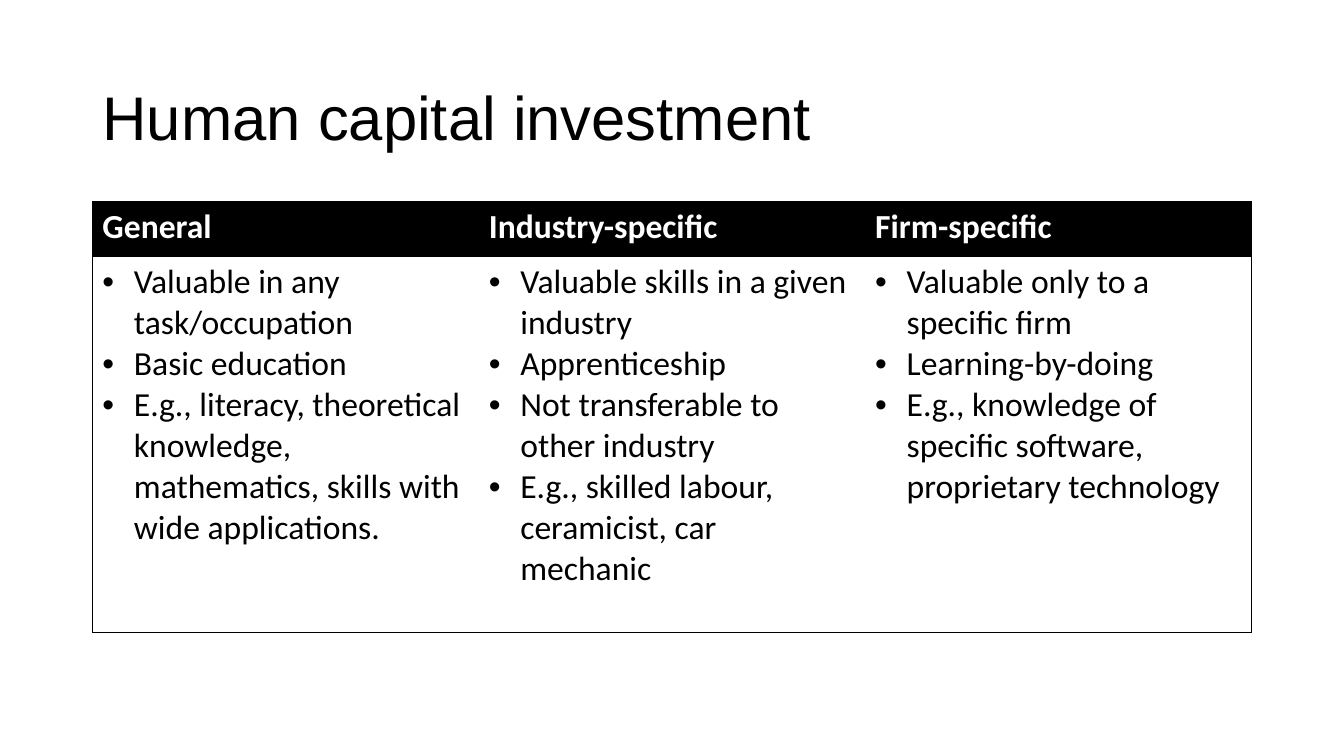
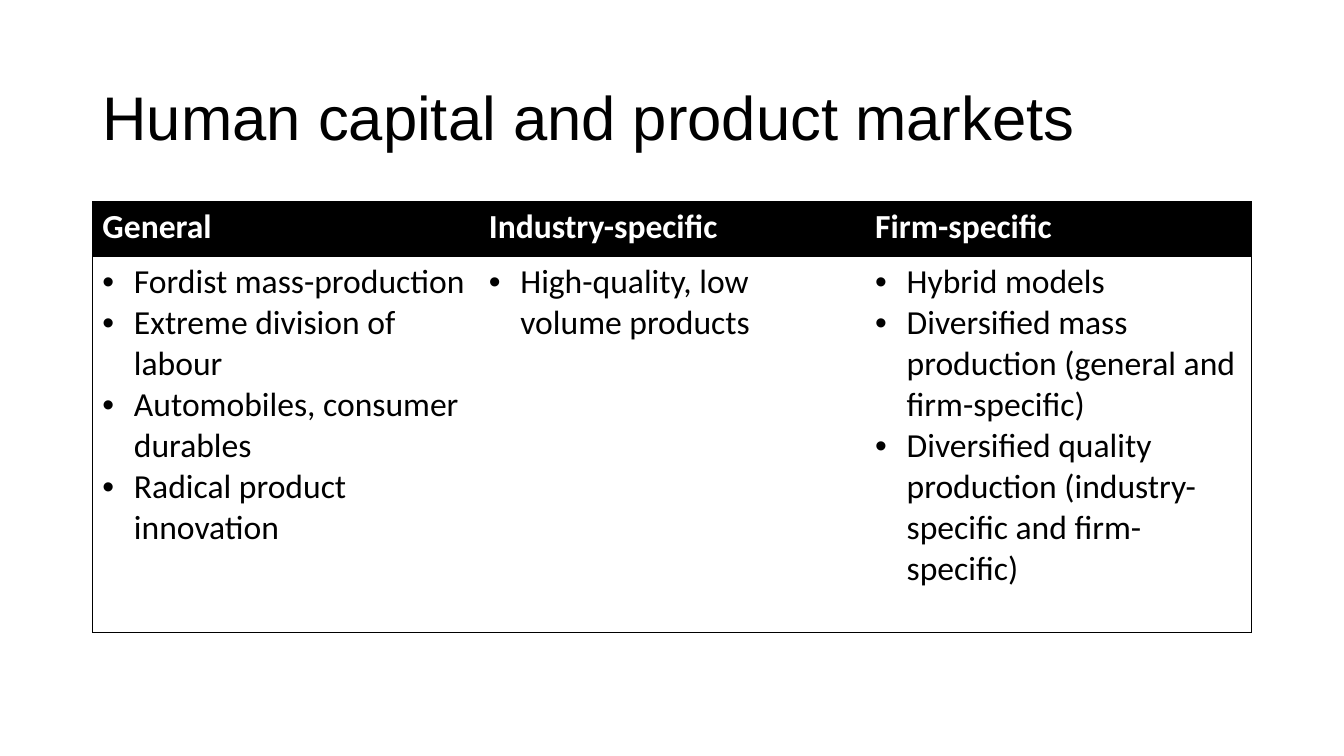
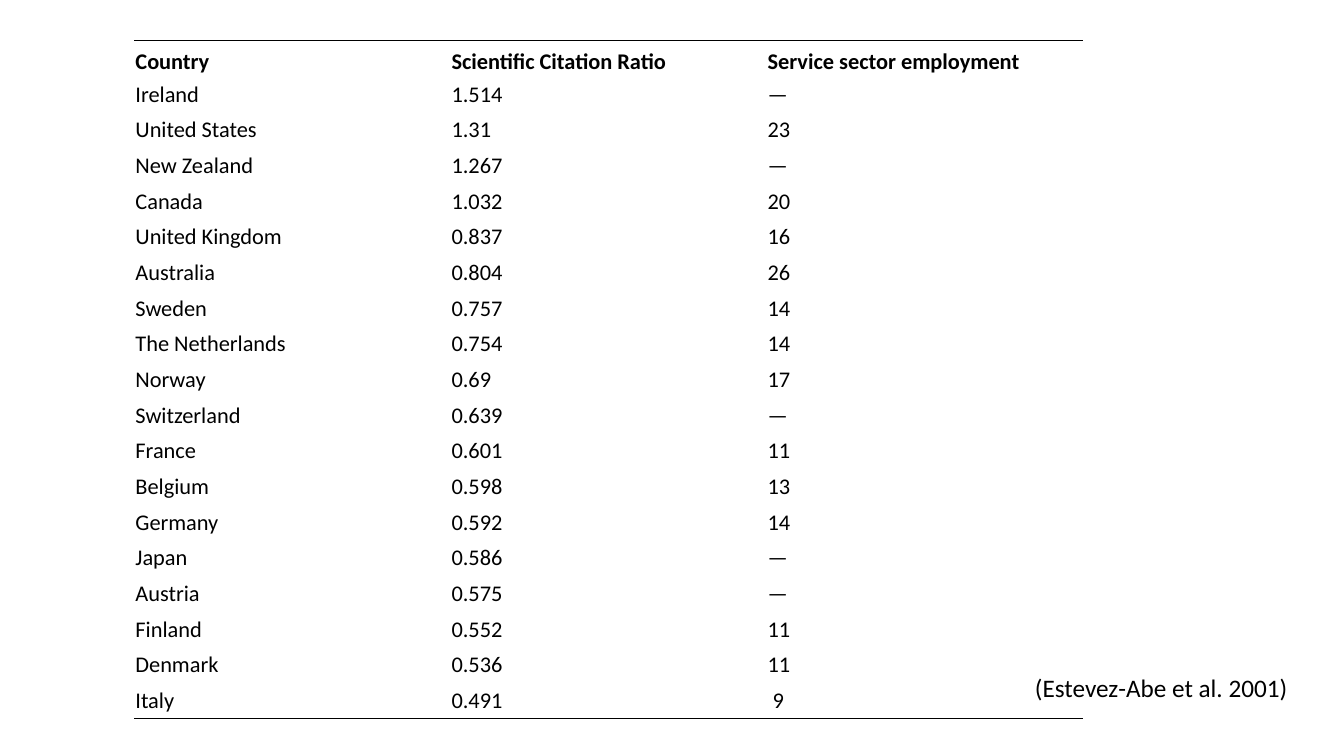
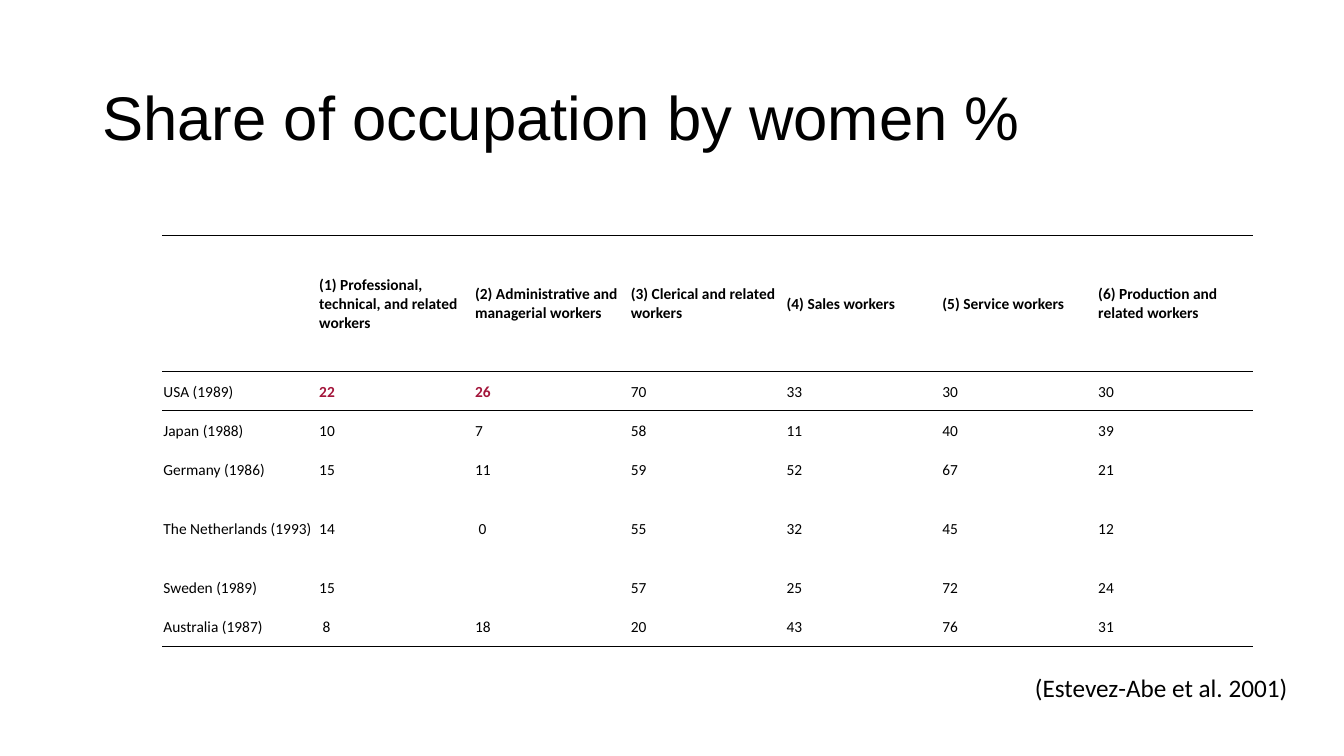
from lxml.etree import SubElement
from pptx import Presentation
from pptx.dml.color import RGBColor
from pptx.enum.text import MSO_ANCHOR as Anchor
from pptx.enum.text import MSO_AUTO_SIZE as AutoSize
from pptx.enum.text import PP_ALIGN as Align
from pptx.oxml.ns import qn
from pptx.util import Pt

BLACK = RGBColor(0x00, 0x00, 0x00)
WHITE = RGBColor(0xFF, 0xFF, 0xFF)
CRIMSON = RGBColor(0xA4, 0x16, 0x3B)
TITLE_FONT = "Arial"
BODY_FONT = "Calibri"
TITLE_ONLY, BLANK = 5, 6

TITLE_BOX = (66, 34, 828, 104.4)
SKILLS_BOX = (66, 144, 828, 307.4)
CITATION_BOX = (96, 28.8, 677.4, 484.5)
OCCUPATION_BOX = (116, 168, 779.1, 293.75)
SOURCE_BOX = (732.2, 476.6, 196.6, 28.8)
SOURCE = "(Estevez-Abe et al. 2001)"

SKILL_TYPES = ["General", "Industry-specific", "Firm-specific"]
INVESTMENT = [
    ["Valuable in any task/occupation",
     "Basic education",
     "E.g., literacy, theoretical knowledge, mathematics, skills with wide applications."],
    ["Valuable skills in a given industry",
     "Apprenticeship",
     "Not transferable to other industry",
     "E.g., skilled labour, ceramicist, car mechanic"],
    ["Valuable only to a specific firm",
     "Learning-by-doing",
     "E.g., knowledge of specific software, proprietary technology"],
]
PRODUCT_MARKETS = [
    ["Fordist mass-production",
     "Extreme division of labour",
     "Automobiles, consumer durables",
     "Radical product innovation"],
    ["High-quality, low volume products"],
    ["Hybrid models",
     "Diversified mass production (general and firm-specific)",
     "Diversified quality production (industry-specific and firm-specific)"],
]
CITATIONS = [
    ("Country", "Scientific Citation Ratio", "Service sector employment"),
    ("Ireland", "1.514", "—"),
    ("United States", "1.31", "23"),
    ("New Zealand", "1.267", "—"),
    ("Canada", "1.032", "20"),
    ("United Kingdom", "0.837", "16"),
    ("Australia", "0.804", "26"),
    ("Sweden", "0.757", "14"),
    ("The Netherlands", "0.754", "14"),
    ("Norway", "0.69", "17"),
    ("Switzerland", "0.639", "—"),
    ("France", "0.601", "11"),
    ("Belgium", "0.598", "13"),
    ("Germany", "0.592", "14"),
    ("Japan", "0.586", "—"),
    ("Austria", "0.575", "—"),
    ("Finland", "0.552", "11"),
    ("Denmark", "0.536", "11"),
    ("Italy", "0.491", " 9"),
]
OCCUPATIONS = [
    ("", "(1) Professional, technical, and related workers",
     "(2) Administrative and managerial workers", "(3) Clerical and related workers",
     "(4) Sales workers", "(5) Service workers", "(6) Production and related workers"),
    ("USA (1989)", "22", "26", "70", "33", "30", "30"),
    ("Japan (1988)", "10", "7", "58", "11", "40", "39"),
    ("Germany (1986)", "15", "11", "59", "52", "67", "21"),
    ("The Netherlands (1993)", "14", " 0", "55", "32", "45", "12"),
    ("Sweden (1989)", "15", "", "57", "25", "72", "24"),
    ("Australia (1987)", " 8", "18", "20", "43", "76", "31"),
]


def write_text(frame, lines, size=18, font=BODY_FONT, color=BLACK, bold=False,
               bulleted=False, spacing=None):
    """Write one paragraph per line into a text frame."""
    for number, line in enumerate(lines):
        paragraph = frame.add_paragraph() if number else frame.paragraphs[0]
        paragraph.alignment = Align.LEFT
        if spacing:
            paragraph.line_spacing = spacing
        if bulleted:
            add_bullet(paragraph)
        if line:
            run = paragraph.add_run()
            run.text = line
            run.font.size = Pt(size)
            run.font.name = font
            run.font.bold = bold
            run.font.color.rgb = color


def add_bullet(paragraph, indent=22.5):
    """Give a paragraph a round bullet with a hanging indent."""
    properties = paragraph._p.get_or_add_pPr()
    properties.set("marL", str(Pt(indent)))
    properties.set("indent", str(-Pt(indent)))
    SubElement(properties, qn("a:buFont")).set("typeface", "Arial")
    SubElement(properties, qn("a:buChar")).set("char", "•")


def set_borders(cell, sides, width):
    """Rule the given sides of a cell in black and clear the others."""
    properties = cell._tc.get_or_add_tcPr()
    for position, side in enumerate("LRTB"):
        rule = SubElement(properties, qn(f"a:ln{side}"))
        properties.insert(position, rule)
        if side in sides:
            rule.set("w", str(Pt(width)))
            fill = SubElement(rule, qn("a:solidFill"))
            SubElement(fill, qn("a:srgbClr")).set("val", str(BLACK))
        else:
            SubElement(rule, qn("a:noFill"))


def add_plain_table(slide, box, heights, column_count):
    """Add an unbanded table with equal columns and the given row heights."""
    left, top, width, height = map(Pt, box)
    table = slide.shapes.add_table(len(heights), column_count, left, top, width, height).table
    table.first_row = table.horz_banding = False
    for column in table.columns:
        column.width = Pt(box[2] / column_count)
    for row, row_height in zip(table.rows, heights):
        row.height = Pt(row_height)
    for cell in table.iter_cells():
        cell.fill.background()
    return table


def add_title(slide, title, box=TITLE_BOX):
    """Place and format the slide title."""
    heading = slide.shapes.title
    heading.left, heading.top, heading.width, heading.height = map(Pt, box)
    heading.text_frame.auto_size = AutoSize.NONE
    heading.text_frame.vertical_anchor = Anchor.MIDDLE
    write_text(heading.text_frame, [title], size=44, font=TITLE_FONT, spacing=0.9)


def add_source(slide, box=SOURCE_BOX):
    """Add the source reference at the lower right."""
    reference = slide.shapes.add_textbox(*map(Pt, box)).text_frame
    reference.word_wrap = False
    reference.auto_size = AutoSize.SHAPE_TO_FIT_TEXT
    write_text(reference, [SOURCE])


def add_skills_table(slide, box, bullet_lists, header_height=39.4):
    """Add the three skill types above their bullet lists."""
    heights = [header_height, box[3] - header_height]
    table = add_plain_table(slide, box, heights, len(SKILL_TYPES))
    outer_sides = ["L", "", "R"]
    for column, (skill_type, bullets) in enumerate(zip(SKILL_TYPES, bullet_lists)):
        header, body = table.cell(0, column), table.cell(1, column)
        header.fill.solid()
        header.fill.fore_color.rgb = BLACK
        write_text(header.text_frame, [skill_type], size=24, color=WHITE, bold=True)
        write_text(body.text_frame, bullets, size=24, bulleted=True)
        for cell in (header, body):
            set_borders(cell, "TB" + outer_sides[column], 0.5)


def add_data_table(slide, box, records, heights, size, ruled_rows,
                   header_anchor=Anchor.MIDDLE, highlights=()):
    """Add a data table with horizontal rules above the first and below the ruled rows."""
    table = add_plain_table(slide, box, heights, len(records[0]))
    for row, record in enumerate(records):
        sides = ("T" if row == 0 or row - 1 in ruled_rows else "") + ("B" if row in ruled_rows else "")
        for column, value in enumerate(record):
            cell = table.cell(row, column)
            cell.margin_left = cell.margin_right = cell.margin_top = Pt(0.75)
            cell.margin_bottom = 0
            cell.vertical_anchor = Anchor.MIDDLE if row else header_anchor
            marked = (row, column) in highlights
            write_text(cell.text_frame, [value], size=size, bold=row == 0 or marked,
                       color=CRIMSON if marked else BLACK)
            set_borders(cell, sides, 1)


def add_skills_slide(deck, title, bullet_lists):
    """Add a slide that compares the three skill types."""
    slide = deck.slides.add_slide(deck.slide_layouts[TITLE_ONLY])
    add_title(slide, title)
    add_skills_table(slide, SKILLS_BOX, bullet_lists)


def add_citation_slide(deck):
    """Add the untitled slide of citation ratios by country."""
    slide = deck.slides.add_slide(deck.slide_layouts[BLANK])
    count = len(CITATIONS)
    add_data_table(slide, CITATION_BOX, CITATIONS, [CITATION_BOX[3] / count] * count, 16,
                   ruled_rows=[count - 1], header_anchor=Anchor.BOTTOM)
    add_source(slide)


def add_occupation_slide(deck):
    """Add the slide of women's share in each occupation."""
    slide = deck.slides.add_slide(deck.slide_layouts[TITLE_ONLY])
    add_title(slide, "Share of occupation by women %")
    single = 28.05
    heights = [97.4] + [single] * 3 + [2 * single] + [single] * 2
    add_data_table(slide, OCCUPATION_BOX, OCCUPATIONS, heights, 11,
                   ruled_rows=[0, 1, len(OCCUPATIONS) - 1], highlights=[(1, 1), (1, 2)])
    add_source(slide)


def main():
    """Build and save the deck."""
    deck = Presentation()
    deck.slide_width, deck.slide_height = Pt(960), Pt(540)
    add_skills_slide(deck, "Human capital investment", INVESTMENT)
    add_skills_slide(deck, "Human capital and product markets", PRODUCT_MARKETS)
    add_citation_slide(deck)
    add_occupation_slide(deck)
    deck.save("out.pptx")


if __name__ == "__main__":
    main()
